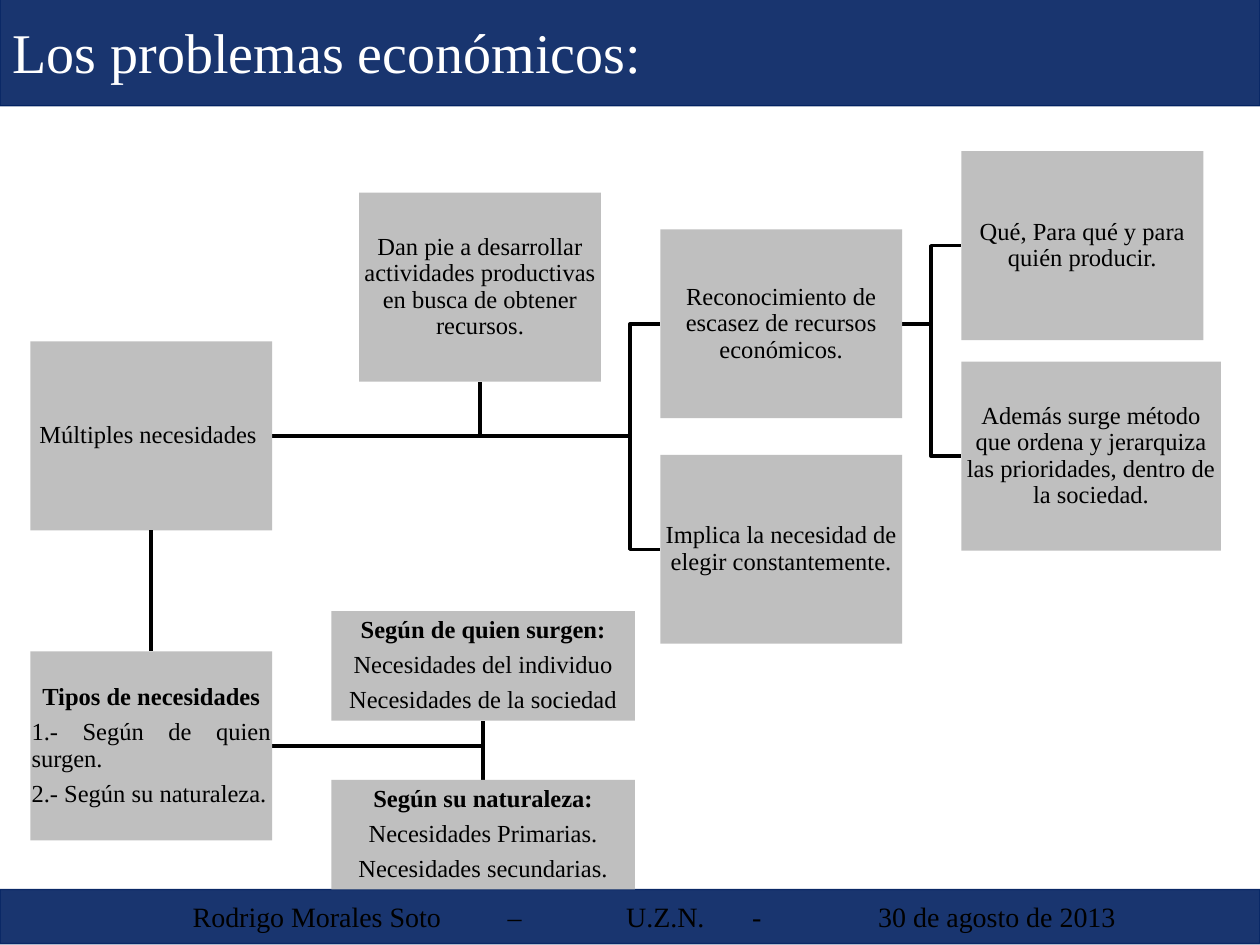
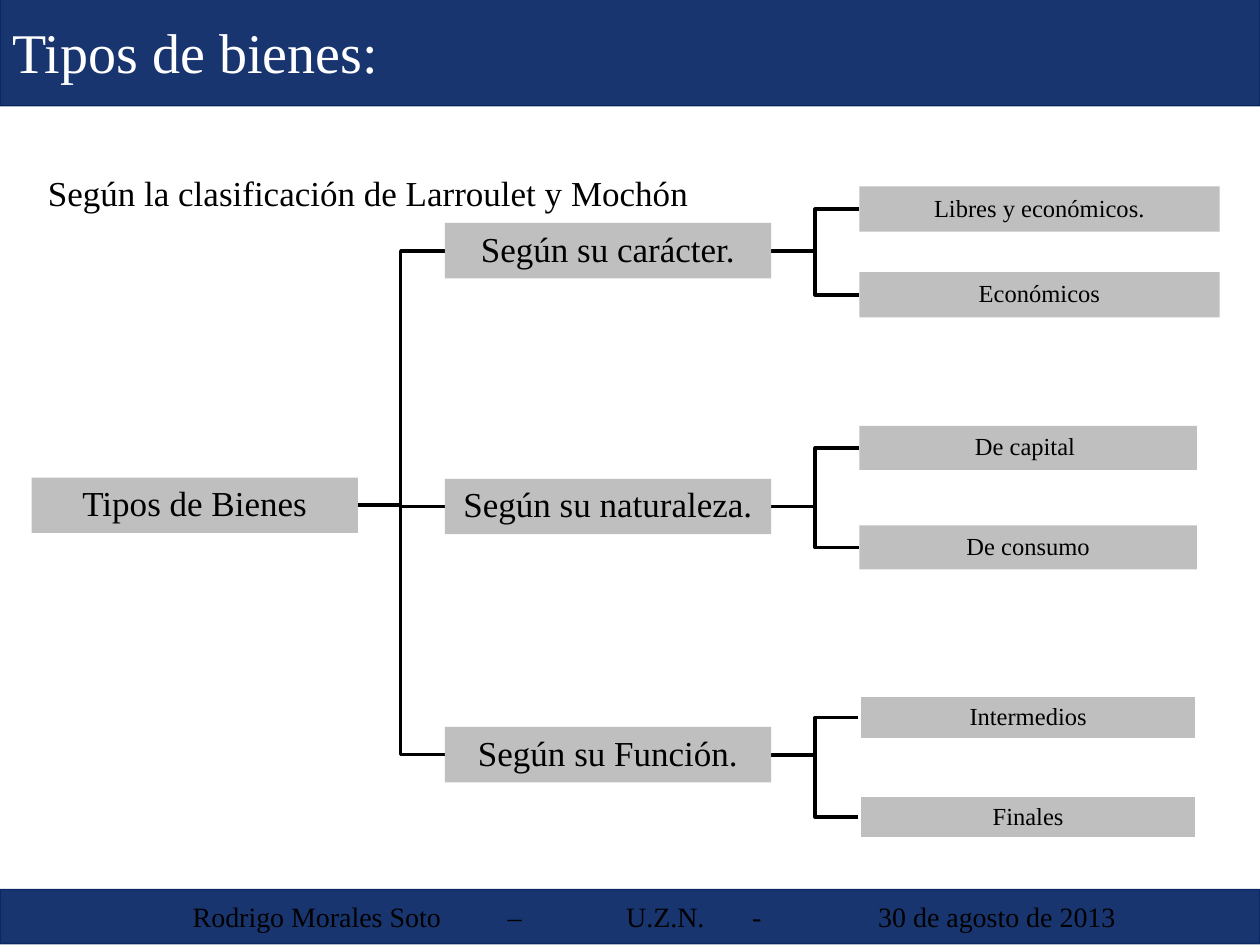
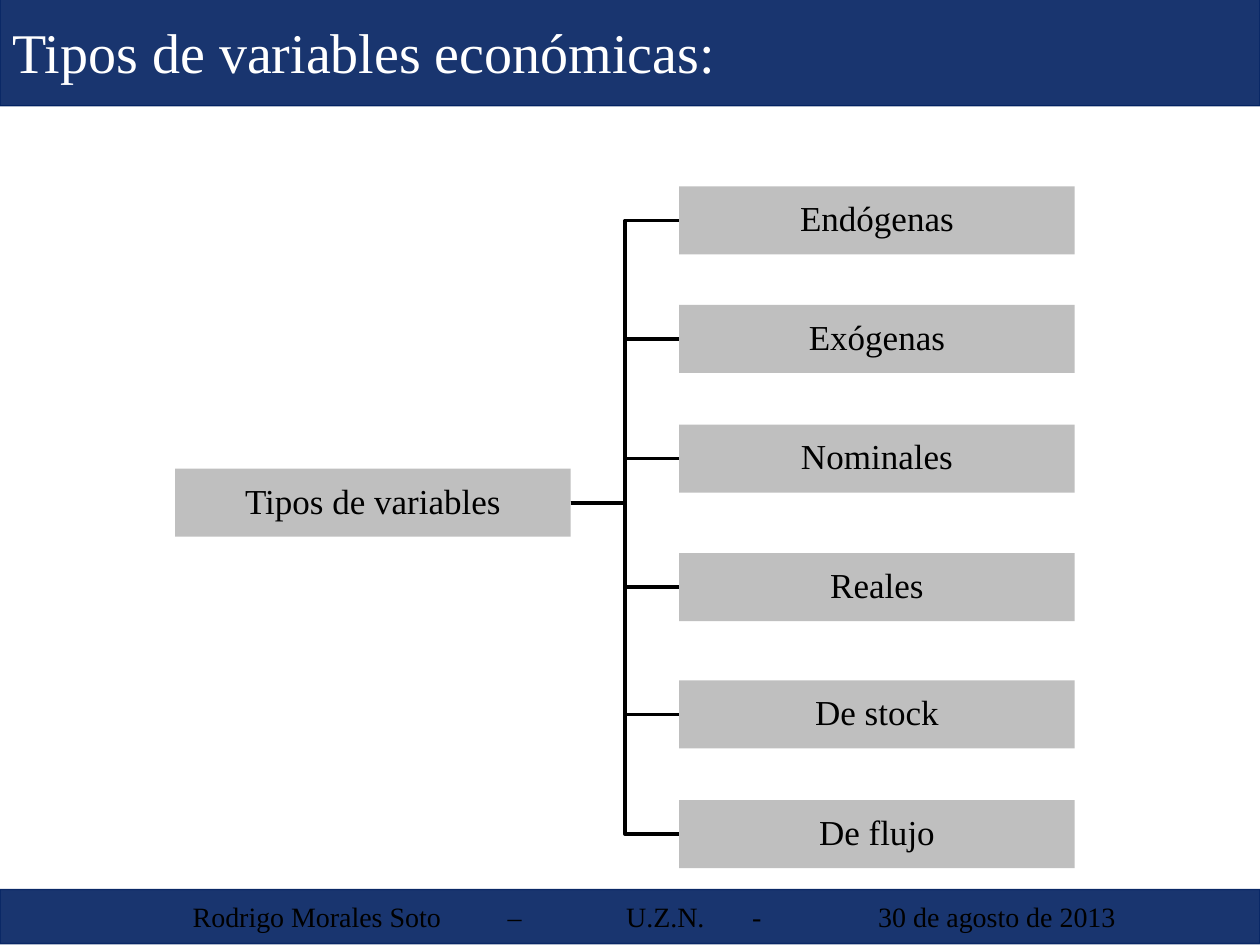
from dataclasses import dataclass
from lxml.etree import SubElement
from pptx import Presentation
from pptx.dml.color import RGBColor as Rgb
from pptx.enum.shapes import MSO_CONNECTOR as Link, MSO_SHAPE as Form
from pptx.enum.text import MSO_ANCHOR as Anchor, MSO_AUTO_SIZE as Fit, PP_ALIGN as Align
from pptx.oxml.ns import qn
from pptx.util import Inches, Pt


@dataclass(frozen=True)
class Theme:
    font: str = "Times New Roman"
    navy: str = "002060"
    gray: str = "BFBFBF"
    ink: str = "000000"
    white: str = "FFFFFF"
    alpha: int = 90000
    title: int = 32
    foot: int = 16
    lead: int = 20
    rule: float = 2
    edge: float = 0.75
    inset: float = 0.01


T = Theme()
WIDE, HIGH = 10, 7.5
TITLE = (0, -0.03, WIDE, 0.87)
FOOT = (0, 7.06, WIDE, 0.43)
LEAD = (0.28, 1.31, 9.45, 3.13)
FOOTER = "Rodrigo Morales Soto\t–\tU.Z.N.\t-\t30 de agosto de 2013"
START, TABS = 1.53, (2.5, 3.44, 4.44, 5.44)

KINDS = {
    "card": (1.92, 1.5, 14),
    "wide": (2.06, 1.5, 14),
    "pair": (2.41, 0.87, 14),
    "main": (2.59, 0.44, 20),
    "long": (2.86, 0.36, 14),
    "leaf": (2.68, 0.35, 14),
    "rim": (2.68, 0.35, 14),
    "item": (3.14, 0.54, 20),
}

# Node: text, kind, column, top, parent, link
SLIDES = [
    {
        "title": "Los problemas económicos:",
        "cols": (0.24, 2.63, 2.85, 5.24, 7.63),
        "bend": 0.24,
        "nodes": [
            ("Múltiples necesidades ", "card", 0, 2.71, None, None),
            ("Reconocimiento de escasez de recursos económicos.", "card", 3, 1.82, 0, "side"),
            ("Qué, Para qué y para quién producir.", "card", 4, 1.2, 1, "side"),
            ("Además surge método que ordena y jerarquiza las prioridades, "
             "dentro de la sociedad.", "wide", 4, 2.87, 1, "side"),
            ("Implica la necesidad de elegir constantemente.", "card", 3, 3.61, 0, "side"),
            ("Dan pie a desarrollar actividades productivas en busca de "
             "obtener recursos.", "card", 2, 1.53, 0, "up"),
            ("Tipos de necesidades\n1.- Según de quien surgen.\n2.- Según su naturaleza.",
             "card", 0, 5.17, 0, "line"),
            ("Según de quien surgen:\nNecesidades del individuo\nNecesidades de la sociedad",
             "pair", 1, 4.85, 6, "up"),
            ("Según su naturaleza:\nNecesidades Primarias.\nNecesidades secundarias.",
             "pair", 1, 6.19, 6, "down"),
        ],
    },
    {
        "title": "Tipos de bienes:",
        "lead": "Según la clasificación de Larroulet y Mochón",
        "cols": (0.25, 3.53, 6.82),
        "bend": 0.35,
        "nodes": [
            ("Tipos de Bienes", "main", 0, 3.79, None, None),
            ("Según su carácter.", "main", 1, 1.77, 0, "side"),
            ("Libres y económicos.", "long", 2, 1.48, 1, "side"),
            ("Económicos", "long", 2, 2.16, 1, "side"),
            ("Según su naturaleza.", "main", 1, 3.8, 0, "side"),
            ("De capital ", "leaf", 2, 3.38, 4, "side"),
            ("De consumo", "leaf", 2, 4.17, 4, "side"),
            ("Según su Función.", "main", 1, 5.77, 0, "side"),
            ("Intermedios", "rim", 2, 5.52, 7, "side"),
            ("Finales", "rim", 2, 6.31, 7, "side"),
        ],
    },
    {
        "title": "Tipos de variables económicas:",
        "cols": (1.39, 5.39),
        "bend": 0.43,
        "nodes": [("Tipos de variables", "item", 0, 3.72, None, None)] + [
            (text, "item", 1, top, 0, "side") for text, top in (
                ("Endógenas", 1.48), ("Exógenas", 2.42), ("Nominales", 3.37),
                ("Reales", 4.39), ("De stock", 5.4), ("De flujo", 6.35))
        ],
    },
]


def place(shape, area):
    shape.left, shape.top, shape.width, shape.height = map(Inches, area)


def paint(shape, fill, line=None, width=0):
    shape.shadow.inherit = False
    shape.fill.solid()
    shape.fill.fore_color.rgb = Rgb.from_string(fill)
    if line:
        shape.line.color.rgb = Rgb.from_string(line)
        shape.line.width = Pt(width)
    else:
        shape.line.fill.background()


def style(para, size, color, align, bold=False):
    para.alignment = align
    for run in para.runs:
        font = run.font
        font.name, font.size, font.bold = T.font, Pt(size), bold
        font.color.rgb = Rgb.from_string(color)


def write(shape, text, size, color, align, anchor=Anchor.MIDDLE):
    frame = shape.text_frame
    frame.text = text
    frame.word_wrap, frame.auto_size = True, Fit.NONE
    frame.vertical_anchor = anchor
    for para in frame.paragraphs:
        style(para, size, color, align)
    return frame


def band(shape, area):
    place(shape, area)
    paint(shape, T.navy, T.navy, T.edge)
    for tint in shape._element.spPr.iter(qn("a:srgbClr")):
        SubElement(tint, qn("a:alpha")).set("val", str(T.alpha))


def footer(slide):
    bar = slide.shapes.add_shape(Form.RECTANGLE, *map(Inches, FOOT))
    band(bar, FOOT)
    frame = write(bar, FOOTER, T.foot, T.ink, Align.LEFT)
    frame.margin_left = Inches(START)
    tabs = SubElement(frame.paragraphs[0]._p.get_or_add_pPr(), qn("a:tabLst"))
    for stop in TABS:
        tab = SubElement(tabs, qn("a:tab"))
        tab.set("pos", str(Inches(stop)))
        tab.set("algn", "l")


def lead(slide, text):
    body = slide.placeholders[1]
    place(body, LEAD)
    frame = write(body, text, T.lead, T.ink, Align.JUSTIFY, Anchor.TOP)
    para = frame.paragraphs[0]
    para.space_before = Pt(0)
    props = para._p.get_or_add_pPr()
    props.set("marL", "0")
    props.set("indent", "0")
    SubElement(props, qn("a:buNone"))


def route(start, end, mode, bend):
    x, y, w, h = start
    left, top, wide, high = end
    first, mid = (x + w, y + h / 2), left + wide / 2
    if mode == "side":
        turn, level = left - bend, top + high / 2
        return [first, (turn, first[1]), (turn, level), (left, level)]
    return [first, (mid, first[1]), (mid, top + high if mode == "up" else top)]


def elbow(slide, points):
    first, *rest = [tuple(map(Inches, point)) for point in points]
    build = slide.shapes.build_freeform(*first)
    build.add_line_segments(rest, close=False)
    shape = build.convert_to_shape()
    shape.shadow.inherit = False
    shape.fill.background()
    shape.line.color.rgb = Rgb.from_string(T.ink)
    shape.line.width = Pt(T.rule)


def box(slide, text, kind, area):
    shape = slide.shapes.add_shape(Form.RECTANGLE, *map(Inches, area))
    paint(shape, T.gray, T.white if kind == "rim" else None, T.rule)
    size = KINDS[kind][2]
    frame = write(shape, text, size, T.ink, Align.CENTER)
    frame.margin_left = frame.margin_right = Inches(T.inset)
    frame.margin_top = frame.margin_bottom = Inches(T.inset)
    paras = frame.paragraphs
    for para in paras:
        para.line_spacing = 0.9
        para.space_after = Pt(0.35 * size)
        if para.text[0].isdigit():
            para.alignment = Align.JUSTIFY
    if len(paras) > 1:
        style(paras[0], size, T.ink, Align.CENTER, True)
    return shape


def join(slide, start, end):
    line = slide.shapes.add_connector(Link.STRAIGHT, 0, 0, 0, 0)
    line.begin_connect(start, 2)
    line.end_connect(end, 0)
    line.line.color.rgb = Rgb.from_string(T.ink)
    line.line.width = Pt(T.rule)
    SubElement(line._element.spPr, qn("a:effectLst"))


def tree(slide, data):
    nodes = data["nodes"]
    areas = [(data["cols"][col], top, *KINDS[kind][:2])
             for _, kind, col, top, _, _ in nodes]
    for node, area in zip(nodes, areas):
        parent, mode = node[4:]
        if mode in ("side", "up", "down"):
            elbow(slide, route(areas[parent], area, mode, data["bend"]))
    boxes = [box(slide, node[0], node[1], area) for node, area in zip(nodes, areas)]
    for node, shape in zip(nodes, boxes):
        if node[5] == "line":
            join(slide, boxes[node[4]], shape)


def main():
    deck = Presentation()
    deck.slide_width, deck.slide_height = Inches(WIDE), Inches(HIGH)
    for data in SLIDES:
        slide = deck.slides.add_slide(deck.slide_layouts[1 if "lead" in data else 5])
        title = slide.shapes.title
        band(title, TITLE)
        write(title, data["title"], T.title, T.white, Align.JUSTIFY)
        footer(slide)
        if "lead" in data:
            lead(slide, data["lead"])
        tree(slide, data)
    deck.save("out.pptx")


if __name__ == "__main__":
    main()
